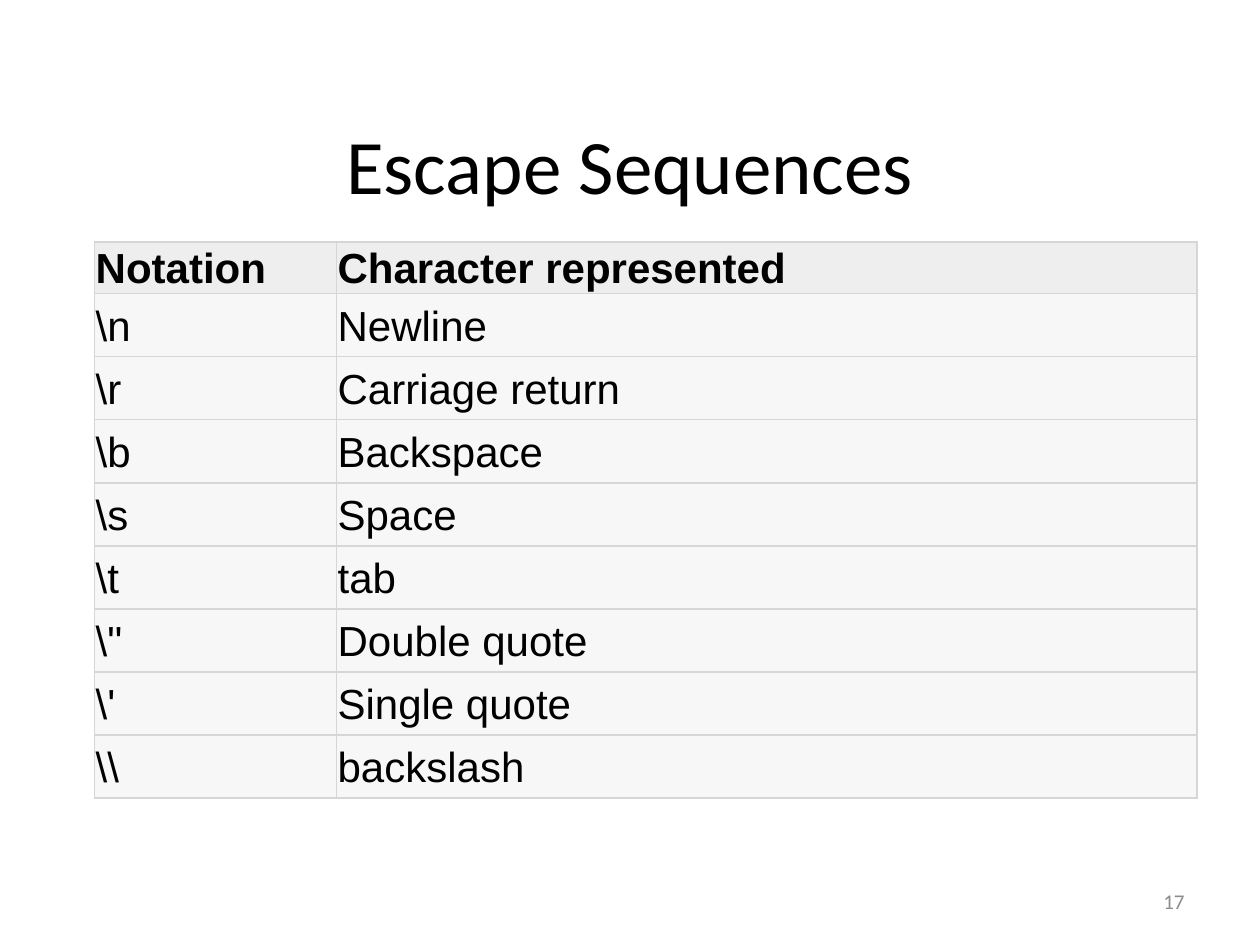
import pptx
import pptx.dml.color
import pptx.enum.text
import pptx.oxml
import pptx.oxml.ns
import pptx.util
from pptx.util import Inches

COLORS = {
    "text": "000000",
    "number": "8C8C8C",
    "header": "EEEEEE",
    "body": "F7F7F7",
    "border": "D6D6D6",
}
ANCHOR = pptx.enum.text.MSO_ANCHOR
ALIGN = pptx.enum.text.PP_ALIGN
HEADINGS = ("Notation", "Character represented")
ESCAPES = [
    (r"\n", "Newline"),
    (r"\r", "Carriage return"),
    (r"\b", "Backspace"),
    (r"\s", "Space"),
    (r"\t", "tab"),
    (r'\"', "Double quote"),
    (r"\'", "Single quote"),
    (r"\\", "backslash"),
]


def set_attributes(target, values):
    for name, value in values.items():
        setattr(target, name, value)


class SlideBuilder:
    header_format = {
        "vertical_anchor": ANCHOR.MIDDLE,
        "margin_left": Inches(0.01),
        "margin_right": Inches(0.01),
        "margin_top": Inches(0.01),
        "margin_bottom": Inches(0),
    }
    body_format = header_format | {
        "vertical_anchor": ANCHOR.BOTTOM,
        "margin_top": Inches(0.05),
        "margin_bottom": Inches(0.05),
    }

    def __init__(self, presentation):
        self.slide = presentation.slides.add_slide(presentation.slide_layouts[6])

    def add_run(self, paragraph, text, font, size, color="text", bold=False):
        run = paragraph.add_run()
        run.text = text
        set_attributes(run.font, {"name": font, "size": pptx.util.Pt(size), "bold": bold})
        run.font.color.rgb = pptx.dml.color.RGBColor.from_string(COLORS[color])

    def text(self, text, box, size, alignment, color="text"):
        shape = self.slide.shapes.add_textbox(*map(Inches, box))
        frame = shape.text_frame
        set_attributes(frame, {"word_wrap": True, "vertical_anchor": ANCHOR.MIDDLE})
        paragraph = frame.paragraphs[0]
        paragraph.alignment = alignment
        self.add_run(paragraph, text, "Calibri", size, color)

    def border(self, cell):
        properties = cell._tc.get_or_add_tcPr()
        for side in ("lnL", "lnR", "lnT", "lnB"):
            properties.append(pptx.oxml.parse_xml(
                f'<a:{side} {pptx.oxml.ns.nsdecls("a")} w="{pptx.util.Pt(1)}">'
                f'<a:solidFill><a:srgbClr val="{COLORS["border"]}"/></a:solidFill></a:{side}>'
            ))

    def cell(self, cell, text, is_header):
        set_attributes(cell, self.header_format if is_header else self.body_format)
        self.border(cell)
        cell.fill.solid()
        fill = COLORS["header" if is_header else "body"]
        cell.fill.fore_color.rgb = pptx.dml.color.RGBColor.from_string(fill)
        self.add_run(cell.text_frame.paragraphs[0], text, "Arial", 24, bold=is_header)

    def table(self, rows, left, top, widths, header_height, body_height):
        heights = [header_height] + [body_height] * (len(rows) - 1)
        box = (left, top, sum(widths), sum(heights))
        table = self.slide.shapes.add_table(len(rows), len(widths), *map(Inches, box)).table
        set_attributes(table, {"first_row": False, "horz_banding": False})
        for column, width in zip(table.columns, widths):
            column.width = Inches(width)
        for index, (row, height) in enumerate(zip(table.rows, heights)):
            row.height = Inches(height)
            for cell, text in zip(row.cells, rows[index]):
                self.cell(cell, text, index == 0)


def main():
    presentation = pptx.Presentation()
    set_attributes(presentation, {"slide_width": Inches(10), "slide_height": Inches(7.5)})
    builder = SlideBuilder(presentation)
    builder.text("Escape Sequences", (0.5, 0.67, 9, 1.25), 44, ALIGN.CENTER)
    builder.table([HEADINGS, *ESCAPES], 0.75, 1.92, (1.92, 6.83), 0.41, 0.48)
    builder.text("17", (7.17, 6.95, 2.33, 0.4), 12, ALIGN.RIGHT, "number")
    presentation.save("out.pptx")


if __name__ == "__main__":
    main()
